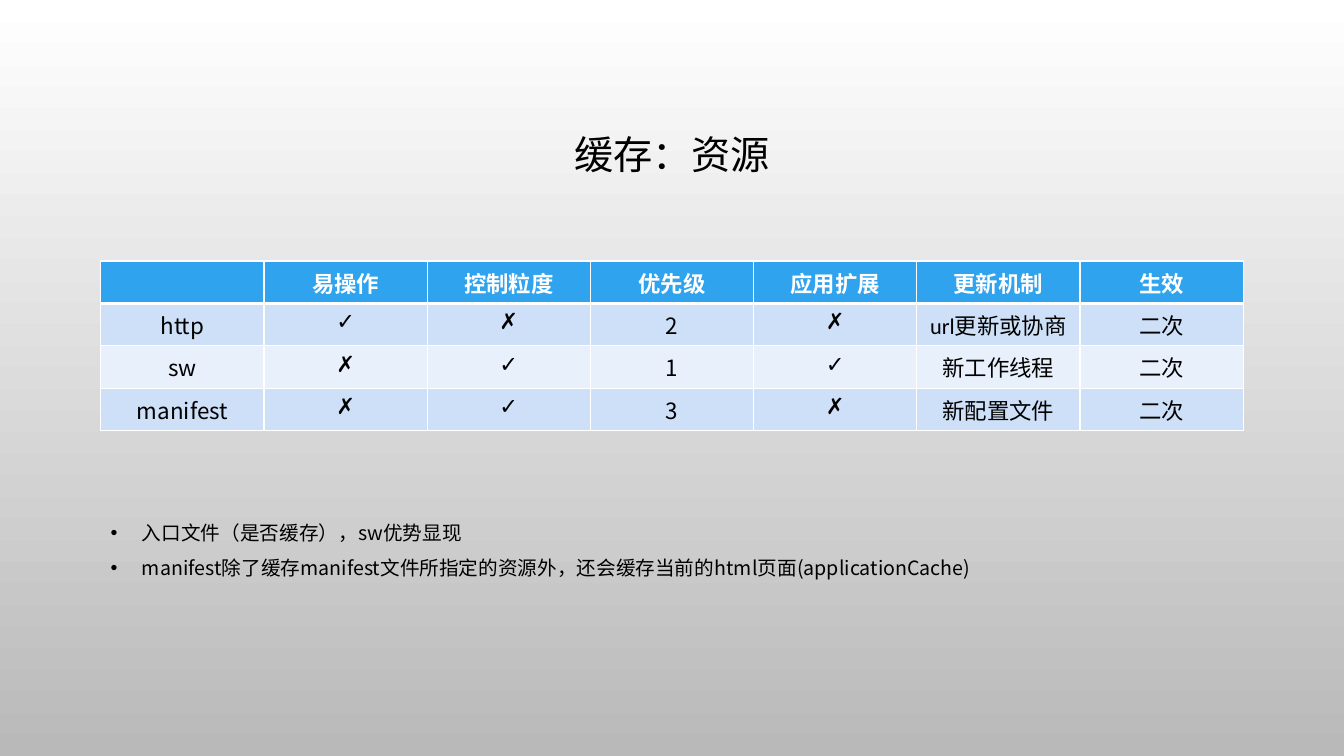
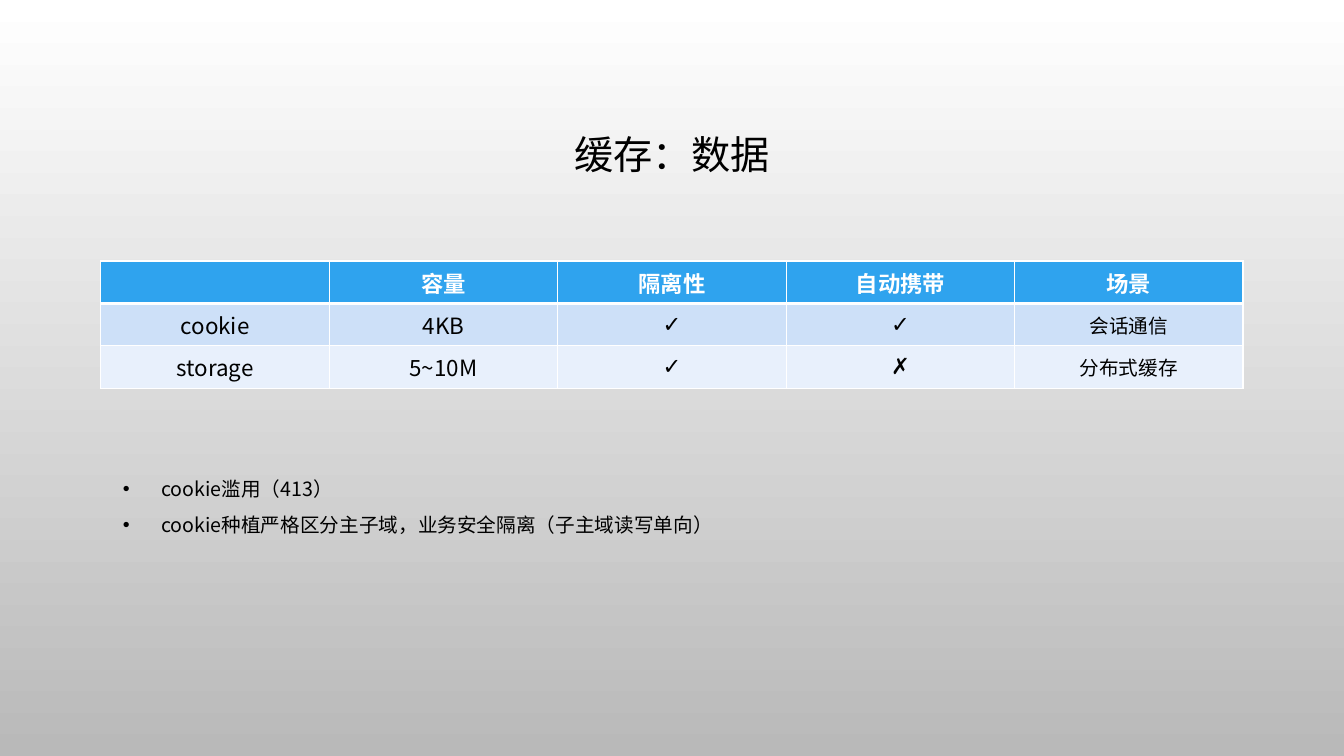
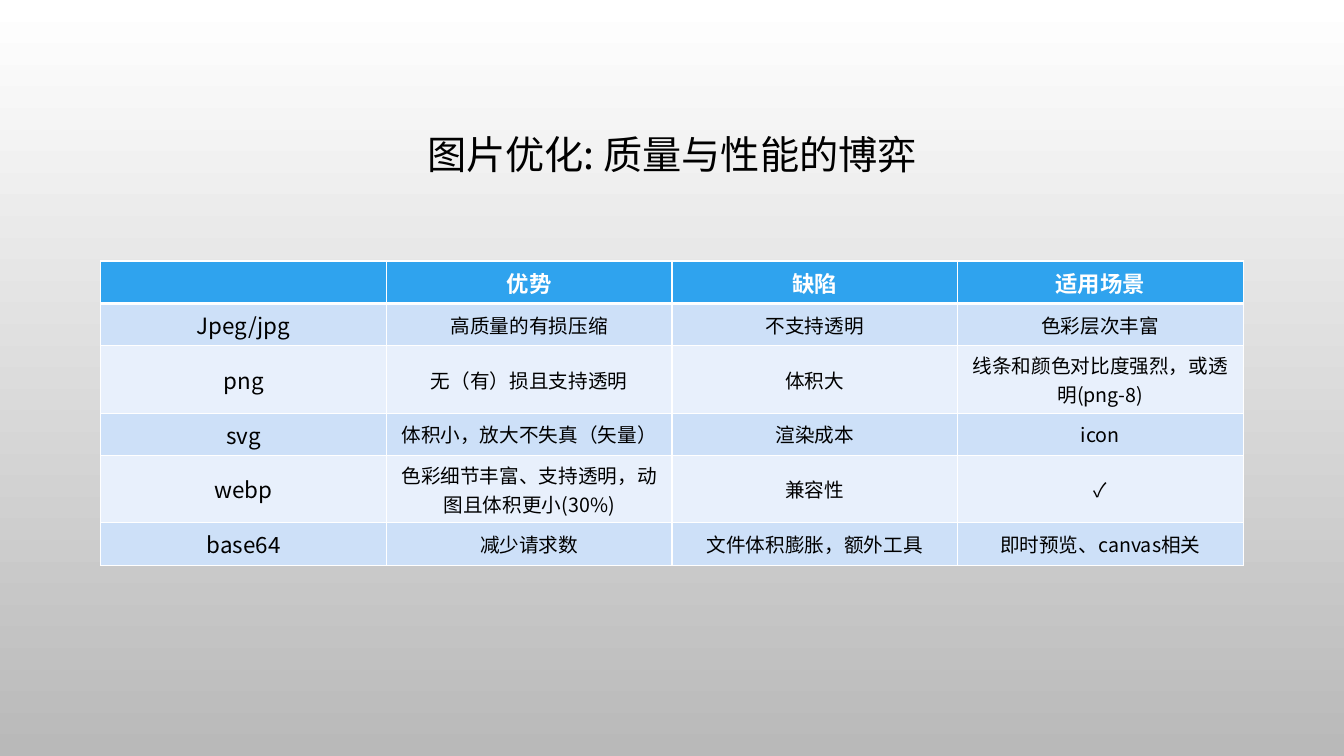
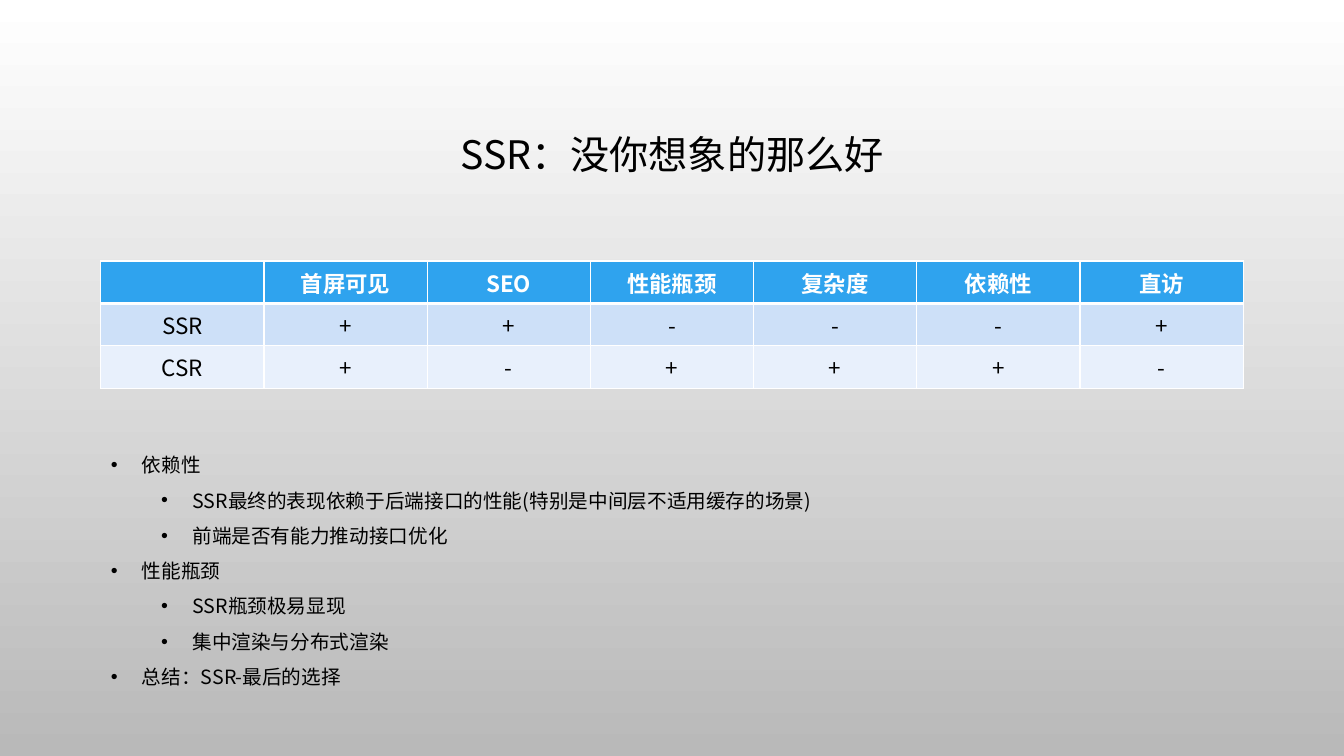
from dataclasses import dataclass

from lxml import etree
from pptx import Presentation
from pptx import util as u
from pptx.dml.color import RGBColor
from pptx.enum import text
from pptx.oxml import ns


@dataclass(frozen=True)
class Theme:
    black: str = "000000"
    white: str = "FFFFFF"
    shade: str = "B9B9B9"
    header: str = "2FA3EE"
    bands: tuple = ("CDE0F8", "E8F0FC")
    font: str = "Noto Sans CJK SC"
    latin_font: str = "Calibri"
    title_size: int = 28
    table_size: int = 16
    small_size: int = 14
    thin: int = 1
    thick: int = 3
    left: float = 1
    width: float = 11.33
    table_top: float = 2.59
    row_height: float = 0.41
    level_step: float = 0.5


MARKS = ("✓", "✗")


class Deck:
    def __init__(self, theme):
        self.theme = theme
        self.slide = None
        self.presentation = Presentation()
        self.presentation.slide_width = u.Inches(13.33)
        self.presentation.slide_height = u.Inches(7.5)
        fill = self.presentation.slide_master.background.fill
        fill.gradient()
        fill.gradient_angle = 270
        for stop, color in zip(fill.gradient_stops, (theme.white, theme.shade)):
            stop.color.rgb = RGBColor.from_string(color)

    def add_run(self, paragraph, content, size, color=None, bold=False,
                latin=None, east_asian=None):
        run = paragraph.add_run()
        run.text = content
        font = run.font
        font.size = u.Pt(size)
        font.bold = bold
        font.color.rgb = RGBColor.from_string(color or self.theme.black)
        font.name = latin or self.theme.font
        latin_element = run._r.rPr.find(ns.qn("a:latin"))
        east_asian_element = etree.Element(ns.qn("a:ea"))
        east_asian_element.set("typeface", east_asian or self.theme.font)
        latin_element.addnext(east_asian_element)

    def add_slide(self, title):
        layout = self.presentation.slide_layouts.get_by_name("Title Only")
        self.slide = self.presentation.slides.add_slide(layout)
        shape = self.slide.shapes.title
        shape.left, shape.top = u.Inches(self.theme.left), u.Inches(0.68)
        shape.width, shape.height = u.Inches(self.theme.width), u.Inches(1.75)
        shape.text_frame.vertical_anchor = text.MSO_ANCHOR.MIDDLE
        paragraph = shape.text_frame.paragraphs[0]
        paragraph.alignment = text.PP_ALIGN.CENTER
        paragraph.line_spacing = 0.9
        self.add_run(paragraph, title, self.theme.title_size)

    def add_borders(self, cell, row):
        properties = cell._tc.get_or_add_tcPr()
        widths = {
            "L": self.theme.thin,
            "R": self.theme.thin,
            "T": self.theme.thick if row == 1 else self.theme.thin,
            "B": self.theme.thick if row == 0 else self.theme.thin,
        }
        for side, width in widths.items():
            line = etree.SubElement(properties, ns.qn(f"a:ln{side}"), w=str(u.Pt(width)))
            fill = etree.SubElement(line, ns.qn("a:solidFill"))
            etree.SubElement(fill, ns.qn("a:srgbClr"), val=self.theme.white)

    def add_table(self, rows, small_columns=(), latin_columns=(),
                  anchor=text.MSO_ANCHOR.MIDDLE):
        theme = self.theme
        columns = len(rows[0])
        table = self.slide.shapes.add_table(
            len(rows), columns, u.Inches(theme.left), u.Inches(theme.table_top),
            u.Inches(theme.width), u.Inches(theme.row_height * len(rows))).table
        table.horz_banding = False
        for row, values in enumerate(rows):
            for column, value in enumerate(values):
                cell = table.cell(row, column)
                self.add_borders(cell, row)
                color = theme.bands[(row - 1) % 2] if row else theme.header
                cell.fill.solid()
                cell.fill.fore_color.rgb = RGBColor.from_string(color)
                cell.vertical_anchor = anchor
                if not value:
                    continue
                paragraph = cell.text_frame.paragraphs[0]
                paragraph.alignment = text.PP_ALIGN.CENTER
                if row == 0:
                    self.add_run(paragraph, value, theme.table_size, theme.white, bold=True)
                elif column in small_columns:
                    self.add_run(paragraph, value, theme.small_size)
                elif value in MARKS:
                    self.add_run(paragraph, value, theme.table_size,
                                 latin=theme.latin_font, east_asian=theme.latin_font)
                else:
                    latin = theme.latin_font if column in latin_columns else None
                    self.add_run(paragraph, value, theme.table_size, latin=latin)

    def add_bullets(self, left, top, width, height, items, indent=0.31):
        shape = self.slide.shapes.add_textbox(
            u.Inches(left), u.Inches(top), u.Inches(width), u.Inches(height))
        frame = shape.text_frame
        frame.word_wrap = True
        frame.auto_size = text.MSO_AUTO_SIZE.SHAPE_TO_FIT_TEXT
        for index, (level, content) in enumerate(items):
            paragraph = frame.add_paragraph() if index else frame.paragraphs[0]
            properties = paragraph._p.get_or_add_pPr()
            properties.set("marL", str(u.Inches(indent + level * self.theme.level_step)))
            properties.set("indent", str(-u.Inches(indent)))
            etree.SubElement(properties, ns.qn("a:buFont"), typeface="Arial")
            etree.SubElement(properties, ns.qn("a:buChar"), char="•")
            paragraph.level = level
            paragraph.line_spacing = 1.5
            self.add_run(paragraph, content, self.theme.small_size)


def main():
    deck = Deck(Theme())

    deck.add_slide("缓存：资源")
    deck.add_table([
        ("", "易操作", "控制粒度", "优先级", "应用扩展", "更新机制", "生效"),
        ("http", "✓", "✗", "2", "✗", "url更新或协商", "二次"),
        ("sw", "✗", "✓", "1", "✓", "新工作线程", "二次"),
        ("manifest", "✗", "✓", "3", "✗", "新配置文件", "二次"),
    ], latin_columns=(5,), anchor=text.MSO_ANCHOR.TOP)
    deck.add_bullets(1, 5, 11.33, 0.77, [
        (0, "入口文件（是否缓存），sw优势显现"),
        (0, "manifest除了缓存manifest文件所指定的资源外，还会缓存当前的html页面(applicationCache)"),
    ])

    deck.add_slide("缓存：数据")
    deck.add_table([
        ("", "容量", "隔离性", "自动携带", "场景"),
        ("cookie", "4KB", "✓", "✓", "会话通信"),
        ("storage", "5~10M", "✓", "✗", "分布式缓存"),
    ], small_columns=(4,))
    deck.add_bullets(1.12, 4.57, 6.44, 0.77, [
        (0, "cookie滥用（413）"),
        (0, "cookie种植严格区分主子域，业务安全隔离（子主域读写单向）"),
    ], indent=0.38)

    deck.add_slide("图片优化: 质量与性能的博弈")
    deck.add_table([
        ("", "优势", "缺陷", "适用场景"),
        ("Jpeg/jpg", "高质量的有损压缩", "不支持透明", "色彩层次丰富"),
        ("png", "无（有）损且支持透明", "体积大", "线条和颜色对比度强烈，或透明(png-8)"),
        ("svg", "体积小，放大不失真（矢量）", "渲染成本", "icon"),
        ("webp", "色彩细节丰富、支持透明，动图且体积更小(30%)", "兼容性", "✓"),
        ("base64", "减少请求数", "文件体积膨胀，额外工具", "即时预览、canvas相关"),
    ], small_columns=(1, 2, 3))

    deck.add_slide("SSR：没你想象的那么好")
    deck.add_table([
        ("", "首屏可见", "SEO", "性能瓶颈", "复杂度", "依赖性", "直访"),
        ("SSR", "+", "+", "-", "-", "-", "+"),
        ("CSR", "+", "-", "+", "+", "+", "-"),
    ])
    deck.add_bullets(1, 4.33, 8.01, 2.57, [
        (0, "依赖性"),
        (1, "SSR最终的表现依赖于后端接口的性能(特别是中间层不适用缓存的场景)"),
        (1, "前端是否有能力推动接口优化"),
        (0, "性能瓶颈"),
        (1, "SSR瓶颈极易显现"),
        (1, "集中渲染与分布式渲染"),
        (0, "总结：SSR-最后的选择"),
    ])

    deck.presentation.save("out.pptx")


if __name__ == "__main__":
    main()
